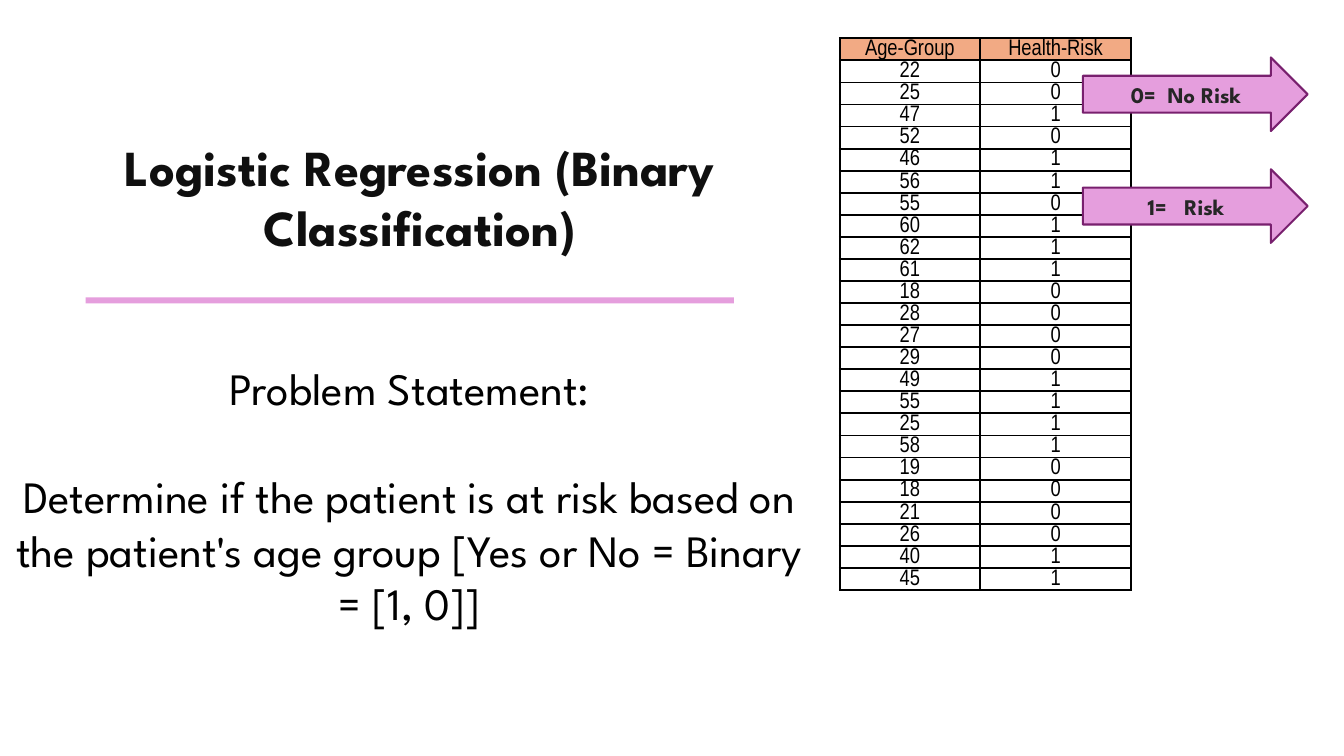
import dataclasses

import pptx
import pptx.dml.color
import pptx.enum.shapes
import pptx.enum.text
import pptx.oxml
import pptx.oxml.ns
import pptx.util

Inches = pptx.util.Inches
Pt = pptx.util.Pt
Anchor = pptx.enum.text.MSO_ANCHOR
Shape = pptx.enum.shapes.MSO_SHAPE


@dataclasses.dataclass(frozen=True)
class Theme:
    sans: str = "League Spartan"
    narrow: str = "Arial Narrow"
    black: str = "000000"
    title: str = "0F0F0F"
    label: str = "262626"
    pink: str = "E59EDD"
    plum: str = "78206E"
    peach: str = "F2AA84"
    large: int = 36
    body: int = 32
    small: int = 16
    edge: float = 1.5


THEME = Theme()
AGES = [22, 25, 47, 52, 46, 56, 55, 60, 62, 61, 18, 28,
        27, 29, 49, 55, 25, 58, 19, 18, 21, 26, 40, 45]
RISKS = [0, 0, 1, 0, 1, 1, 0, 1, 1, 1, 0, 0,
         0, 0, 1, 1, 1, 1, 0, 0, 0, 0, 1, 1]


def color(code):
    return pptx.dml.color.RGBColor.from_string(code)


def style(frame, size, tint, font=THEME.sans, bold=False):
    for para in frame.paragraphs:
        para.alignment = pptx.enum.text.PP_ALIGN.CENTER
        for run in para.runs:
            run.font.name = font
            run.font.size = Pt(size)
            run.font.bold = bold
            run.font.color.rgb = color(tint)


def add_text(slide, box, text, size, tint, bold=False):
    frame = slide.shapes.add_textbox(*map(Inches, box)).text_frame
    frame.word_wrap = True
    frame.text = text
    style(frame, size, tint, bold=bold)
    return frame


def add_block(slide, kind, box):
    block = slide.shapes.add_shape(kind, *map(Inches, box))
    block.shadow.inherit = False
    block.fill.solid()
    block.fill.fore_color.rgb = color(THEME.pink)
    block.line.fill.background()
    return block


def add_arrow(slide, top, text):
    arrow = add_block(slide, Shape.RIGHT_ARROW, (10.74, top, 2.23, 0.73))
    arrow.line.color.rgb = color(THEME.plum)
    arrow.line.width = Pt(THEME.edge)
    frame = arrow.text_frame
    frame.vertical_anchor = Anchor.MIDDLE
    frame.text = text
    style(frame, THEME.small, THEME.label, bold=True)


def add_edges(cell):
    props = cell._tc.get_or_add_tcPr()
    for side in "LRTB":
        props.append(pptx.oxml.parse_xml(
            f'<a:ln{side} {pptx.oxml.ns.nsdecls("a")} w="{Pt(THEME.edge)}">'
            f'<a:solidFill><a:srgbClr val="{THEME.black}"/></a:solidFill>'
            f'</a:ln{side}>'))


def fill_cell(cell, text, head):
    cell.margin_left = cell.margin_right = cell.margin_top = Inches(0.01)
    cell.margin_bottom = 0
    cell.vertical_anchor = Anchor.BOTTOM
    cell.text_frame.text = str(text)
    style(cell.text_frame, THEME.small, THEME.black, THEME.narrow)
    add_edges(cell)
    if head:
        cell.fill.solid()
        cell.fill.fore_color.rgb = color(THEME.peach)
    else:
        cell.fill.background()


def add_grid(slide, box, widths, height, rows):
    holder = slide.shapes.add_table(len(rows), len(widths), *map(Inches, box))
    table = holder.table
    table.first_row = table.horz_banding = False
    for column, width in zip(table.columns, widths):
        column.width = Inches(width)
    for r, row in enumerate(rows):
        table.rows[r].height = Inches(height)
        for c, text in enumerate(row):
            fill_cell(table.cell(r, c), text, r == 0)
    holder.height = Inches(box[3])


def main():
    deck = pptx.Presentation()
    deck.slide_width = Inches(13.33)
    deck.slide_height = Inches(7.5)
    slide = deck.slides.add_slide(deck.slide_layouts[6])

    rows = [("Age-Group", "Health-Risk"), *zip(AGES, RISKS)]
    add_grid(slide, (8.33, 0.38, 2.9, 6.85), (1.39, 1.5), 0.19, rows)
    add_text(slide, (0, 1.3, 8.33, 1.31),
             "Logistic Regression (Binary Classification)",
             THEME.large, THEME.title, bold=True)
    add_arrow(slide, 0.57, "0=  No Risk")
    add_arrow(slide, 1.68, "1=   Risk")
    add_block(slide, Shape.RECTANGLE, (0.85, 2.95, 6.43, 0.06))
    body = add_text(slide, (0, 3.53, 8.13, 2.79),
                    "Problem Statement:\n"
                    "Determine if the patient is at risk based on the patient's "
                    "age group [Yes or No = Binary = [1, 0]]",
                    THEME.body, THEME.black)
    body.paragraphs[1].space_before = Pt(38.5)
    deck.save("out.pptx")


if __name__ == "__main__":
    main()
